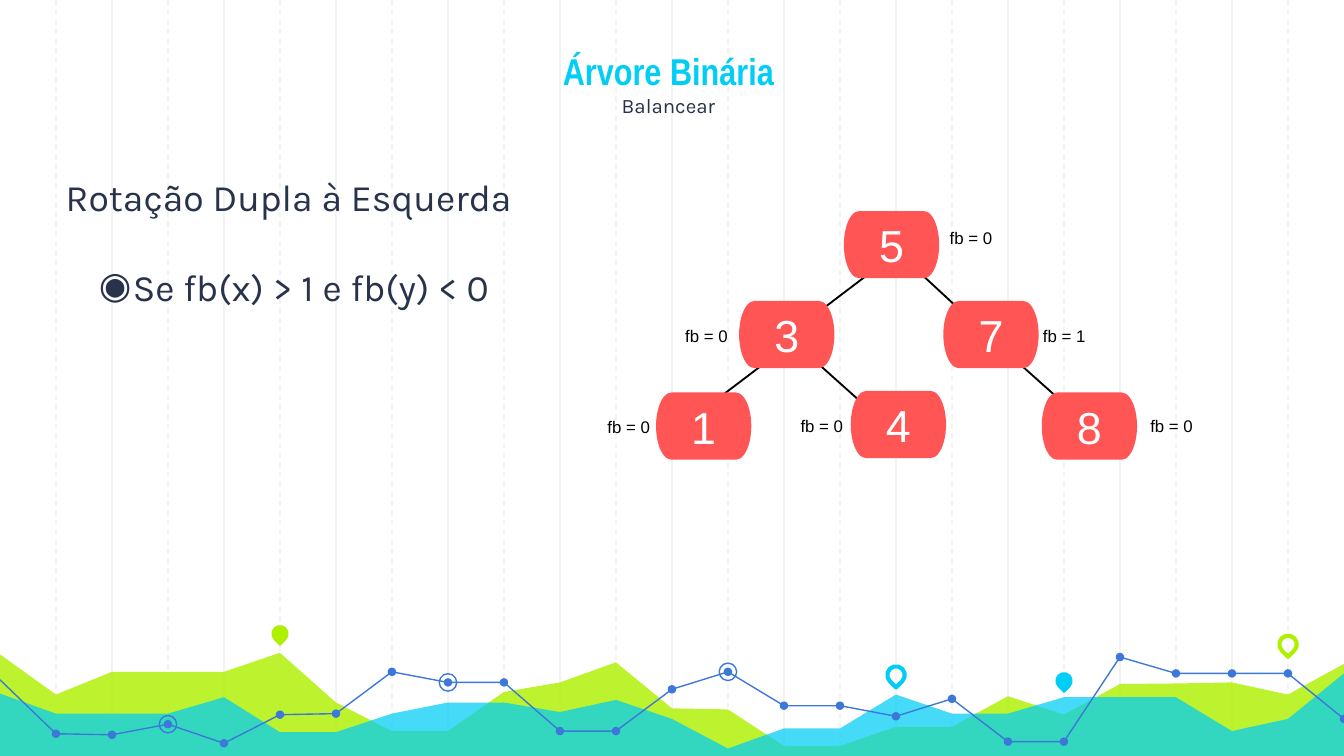
from dataclasses import dataclass

from lxml import etree
from pptx import Presentation
from pptx.dml.color import RGBColor
from pptx.enum.dml import MSO_LINE
from pptx.enum.shapes import MSO_CONNECTOR, MSO_SHAPE
from pptx.enum.text import MSO_ANCHOR, MSO_AUTO_SIZE, PP_ALIGN
from pptx.oxml.ns import qn
from pptx.util import Cm, Pt

STRAIGHT = MSO_CONNECTOR.STRAIGHT
DASH = MSO_LINE.DASH
OVAL, DROP = MSO_SHAPE.OVAL, MSO_SHAPE.TEAR
NODE = MSO_SHAPE.FLOWCHART_TERMINATOR
CENTER, JUSTIFY, LEFT = PP_ALIGN.CENTER, PP_ALIGN.JUSTIFY, PP_ALIGN.LEFT
TOP, MIDDLE, BOTTOM = MSO_ANCHOR.TOP, MSO_ANCHOR.MIDDLE, MSO_ANCHOR.BOTTOM


@dataclass(frozen=True)
class Theme:
    cyan: str = "00CEF6"
    lime: str = "AFF000"
    blue: str = "3C78D8"
    coral: str = "FF5555"
    ink: str = "28324A"
    grid: str = "F3F3F3"
    black: str = "000000"
    white: str = "FFFFFF"
    heading: str = "Arial Narrow"
    body: str = "Karla"
    plain: str = "Arial"
    title_size: int = 20
    subtitle_size: int = 11
    node_size: int = 24
    label_size: int = 9


THEME = Theme()
WIDTH, HEIGHT = 25.4, 14.29
COLUMNS = 24
STEP = WIDTH / COLUMNS

# Heights in cm at each grid column, from the left edge to the right edge
LIME_AREA = [12.37, 13.13, 12.7, 12.7, 12.7, 12.34, 13.28, 13.82, 13.82, 13.08,
             12.9, 12.52, 13.39, 13.41, 14.1, 14.1, 13.74, 13.74, 13.16, 13.51,
             12.93, 12.92, 12.9, 13.13, 12.55]
CYAN_AREA = [13.11, 13.49, 13.49, 13.49, 13.18, 13.84, 13.84, 13.49, 13.28, 13.28,
             13.46, 13.23, 13.59, 14.15, 13.77, 13.77, 13.13, 13.49, 13.49, 13.18,
             13.18, 13.18, 13.82, 13.59, 12.73]
BLUE_LINE = [12.85, 13.87, 13.89, 13.69, 14.05, 13.51, 13.49, 12.7, 12.9, 12.9,
             13.82, 13.82, 13.03, 12.7, 13.34, 13.34, 13.54, 13.21, 14.02, 14.02,
             12.42, 12.73, 12.73, 12.73, 13.59]
RINGED_COLUMNS = [3, 8, 13]
# Column, centre height, colour, filled
PINS = [(5, 11.98, THEME.lime, True), (16, 12.76, THEME.cyan, False),
        (19, 12.87, THEME.cyan, True), (23, 12.18, THEME.lime, False)]

# Key, left, top, then left and top of the balance label and its text
NODES = [("5", 15.95, 3.99, 17.7, 4.17, "fb = 0"),
         ("3", 13.97, 5.69, 12.7, 6.02, "fb = 0"),
         ("7", 17.83, 5.69, 19.46, 6.02, "fb = 1"),
         ("1", 12.4, 7.42, 11.23, 7.75, "fb = 0"),
         ("4", 16.08, 7.39, 14.88, 7.72, "fb = 0"),
         ("8", 19.69, 7.42, 21.49, 7.72, "fb = 0")]
EDGES = [(17.27, 5.05, 18.21, 5.92), (16.48, 5.13, 15.44, 5.92),
         (15.39, 6.81, 16.33, 7.65), (14.43, 6.88, 13.39, 7.67),
         (19.25, 6.86, 20.19, 7.7)]


def rgb(color):
    return RGBColor.from_string(color)


def add_line(page, x1, y1, x2, y2, color, weight, dash=None):
    line = page.shapes.add_connector(STRAIGHT, Cm(x1), Cm(y1), Cm(x2), Cm(y2))
    line.line.color.rgb = rgb(color)
    line.line.width = Pt(weight)
    if dash:
        line.line.dash_style = dash
    etree.SubElement(line._element.spPr, qn("a:effectLst"))


def paint(shape, fill=None, outline=None, weight=0.75, opacity=None):
    shape.shadow.inherit = False
    if fill:
        shape.fill.solid()
        shape.fill.fore_color.rgb = rgb(fill)
    else:
        shape.fill.background()
    if opacity:
        color = shape._element.spPr.find(qn("a:solidFill"))[0]
        etree.SubElement(color, qn("a:alpha"), val=str(opacity * 1000))
    if outline:
        shape.line.color.rgb = rgb(outline)
        shape.line.width = Pt(weight)
    else:
        shape.line.fill.background()


def add_outline(page, points, closed):
    corners = [(Cm(x), Cm(y)) for x, y in points]
    builder = page.shapes.build_freeform(*corners[0], scale=1.0)
    builder.add_line_segments(corners[1:], close=closed)
    return builder.convert_to_shape()


def add_mark(page, kind, column, middle, size, **look):
    mark = page.shapes.add_shape(kind, Cm(column * STEP - size / 2),
                                 Cm(middle - size / 2), Cm(size), Cm(size))
    paint(mark, **look)
    return mark


def add_span(para, text, size, font, color, bold=False):
    span = para.add_run()
    span.text = text
    span.font.size = Pt(size)
    span.font.name = font
    span.font.bold = bold
    span.font.color.rgb = rgb(color)


def set_frame(box, anchor, inset=0.25):
    frame = box.text_frame
    frame.word_wrap = True
    frame.auto_size = MSO_AUTO_SIZE.NONE
    frame.vertical_anchor = anchor
    frame.margin_left = frame.margin_right = Cm(0.25)
    frame.margin_top = frame.margin_bottom = Cm(inset)
    return frame


def place_in_front(box, left, top, width, height):
    box.left, box.top, box.width, box.height = Cm(left), Cm(top), Cm(width), Cm(height)
    # Appending an element again moves it above everything drawn so far
    box._element.getparent().append(box._element)


def set_bullet(para, margin, indent, symbol=None):
    props = para._p.get_or_add_pPr()
    props.set("marL", str(Cm(margin)))
    props.set("indent", str(Cm(indent)))
    if symbol:
        color = etree.SubElement(props, qn("a:buClr"))
        etree.SubElement(color, qn("a:srgbClr"), val=THEME.ink)
        etree.SubElement(props, qn("a:buChar"), char=symbol)
    else:
        etree.SubElement(props, qn("a:buNone"))


def add_backdrop(page):
    # Vertical grid: solid on even columns, dashed on odd ones
    for column in range(1, COLUMNS):
        x = column * STEP
        add_line(page, x, 0, x, HEIGHT, THEME.grid, 0.75, DASH if column % 2 else None)

    # Translucent areas
    for heights, color, opacity in ((LIME_AREA, THEME.lime, 82), (CYAN_AREA, THEME.cyan, 73)):
        points = [(i * STEP, y) for i, y in enumerate(heights)]
        area = add_outline(page, points + [(WIDTH, HEIGHT), (0, HEIGHT)], True)
        paint(area, color, opacity=opacity)

    # Line with dots and rings
    trend = add_outline(page, [(i * STEP, y) for i, y in enumerate(BLUE_LINE)], False)
    paint(trend, outline=THEME.blue)
    for column, y in enumerate(BLUE_LINE[1:], 1):
        add_mark(page, OVAL, column, y, 0.16, fill=THEME.blue)
    for column in RINGED_COLUMNS:
        add_mark(page, OVAL, column, BLUE_LINE[column], 0.33, outline=THEME.blue)

    # Pins
    for column, y, color, filled in PINS:
        look = {"fill": color} if filled else {"outline": color, "weight": 2.25}
        add_mark(page, DROP, column, y, 0.33, **look).rotation = 135


def fill_title(box):
    place_in_front(box, 2.92, 0.5, 19.43, 1.98)
    para = set_frame(box, BOTTOM).paragraphs[0]
    para.alignment = CENTER
    add_span(para, "Árvore Binária", THEME.title_size, THEME.heading, THEME.cyan, True)
    para.add_line_break()
    etree.SubElement(para._p[-1], qn("a:rPr"), sz=str(THEME.title_size * 100))
    add_span(para, "Balancear", THEME.subtitle_size, THEME.body, THEME.ink)


def fill_body(box):
    place_in_front(box, 0.99, 3.04, 10.92, 8.59)
    frame = set_frame(box, TOP)
    lines = [("Rotação Dupla à Esquerda", 0, 0, None, 0),
             ("Se fb(x) > 1 e fb(y) < 0", 1.27, -0.64, "◉", 24)]
    for number, (text, margin, indent, symbol, gap) in enumerate(lines):
        para = frame.add_paragraph() if number else frame.paragraphs[0]
        set_bullet(para, margin, indent, symbol)
        para.alignment = JUSTIFY
        para.space_before = Pt(gap)
        add_span(para, text, THEME.title_size, THEME.body, THEME.ink)


def add_tree(page):
    for edge in EDGES:
        add_line(page, *edge, THEME.black, 1)
    for key, left, top, label_left, label_top, balance in NODES:
        node = page.shapes.add_shape(NODE, Cm(left), Cm(top), Cm(1.8), Cm(1.27))
        paint(node, THEME.coral)
        label = page.shapes.add_textbox(Cm(label_left), Cm(label_top), Cm(1.6), Cm(0.64))
        for box, anchor, align, text, size, color in (
                (node, MIDDLE, CENTER, key, THEME.node_size, THEME.white),
                (label, TOP, LEFT, balance, THEME.label_size, THEME.black)):
            para = set_frame(box, anchor, 0.13).paragraphs[0]
            para.alignment = align
            add_span(para, text, size, THEME.plain, color)


def main():
    deck = Presentation()
    deck.slide_width, deck.slide_height = Cm(WIDTH), Cm(HEIGHT)
    page = deck.slides.add_slide(deck.slide_layouts[1])
    title, body = page.shapes.title, page.placeholders[1]
    add_backdrop(page)
    fill_title(title)
    fill_body(body)
    add_tree(page)
    deck.save("out.pptx")


if __name__ == "__main__":
    main()
